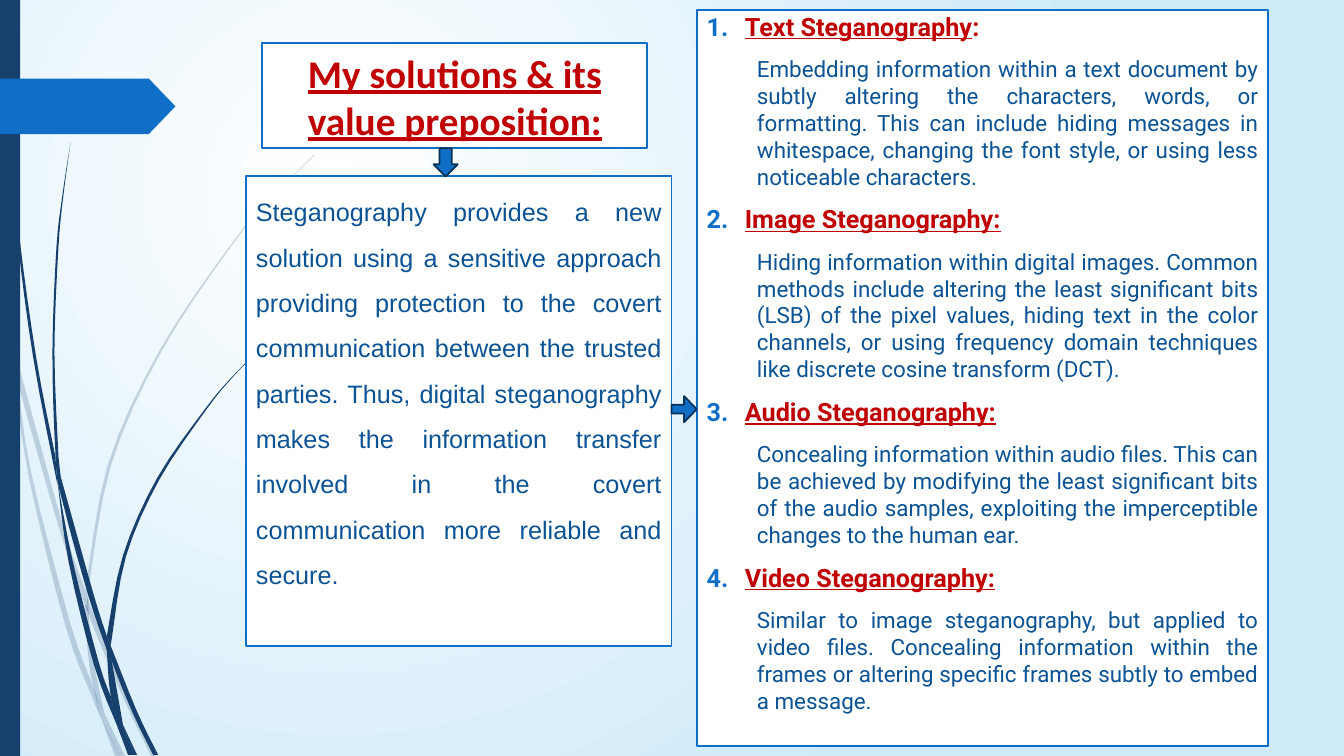
"""Build the slide on steganography solutions and their four types."""
from lxml.etree import SubElement
from pptx import Presentation
from pptx.dml.color import RGBColor
from pptx.enum.shapes import MSO_SHAPE
from pptx.enum.text import MSO_ANCHOR, MSO_AUTO_SIZE, PP_ALIGN
from pptx.oxml.ns import qn
from pptx.util import Inches, Pt

NAVY, BLUE, DARK_BLUE, TEXT_BLUE = "17406D", "0F6FC6", "073157", "0B5394"
RED, WHITE, SKY = "C00000", "FFFFFF", "CEEAF9"

TITLE = "My solutions & its value preposition:"
SUMMARY = (
    "Steganography provides a new solution using a sensitive approach providing protection to "
    "the covert communication between the trusted parties. Thus, digital steganography makes the "
    "information transfer involved in the covert communication more reliable and secure."
)
KINDS = [
    (["Text Steganography", ":"],
     "Embedding information within a text document by subtly altering the characters, words, or "
     "formatting. This can include hiding messages in whitespace, changing the font style, or "
     "using less noticeable characters."),
    (["Image Steganography:"],
     "Hiding information within digital images. Common methods include altering the least "
     "significant bits (LSB) of the pixel values, hiding text in the color channels, or using "
     "frequency domain techniques like discrete cosine transform (DCT)."),
    (["Audio Steganography:"],
     "Concealing information within audio files. This can be achieved by modifying the least "
     "significant bits of the audio samples, exploiting the imperceptible changes to the human ear."),
    (["Video Steganography:"],
     "Similar to image steganography, but applied to video files. Concealing information within "
     "the frames or altering specific frames subtly to embed a message."),
]

TITLE_PLACE = (2.6, 0.43, 3.82, 1.04)
SUMMARY_PLACE = (2.44, 1.75, 4.22, 4.66)
KINDS_PLACE = (6.91, 0.1, 5.67, 7.3)

PALE_WISPS = [
    ([(0.11, 3.5), (0.09, 3.22), (0, 2.82)], [(0, 2.99), (0.1, 3.44), (0.11, 3.5)]),
    ([(0.14, 3.45), (0.17, 3.76), (0.58, 5.22), (0.84, 5.99)],
     [(0.85, 5.86), (0.62, 5.2), (0.14, 3.45)]),
    ([(0.88, 5.96), (0.88, 6.1), (1.23, 6.94), (1.5, 7.5)],
     [(1.55, 7.5), (1.27, 6.92), (0.92, 6.07), (0.88, 5.96)]),
    ([(1.05, 7.11), (1.19, 7.5)], [(1.24, 7.5), (1.05, 7.11)]),
    ([(0.11, 3.5), (0.28, 4.7), (0.65, 6.21), (0.92, 6.93), (1.01, 7.14)],
     [(0.99, 7.07), (0.93, 6.83), (0.7, 6.19), (0.31, 4.69), (0.17, 3.76), (0.11, 3.5)]),
    ([(0.84, 5.99), (0.87, 6.46), (0.93, 6.83), (1.05, 7.11)],
     [(1.03, 7.06), (0.91, 6.46), (0.88, 6.08), (0.84, 5.99)]),
    ([(3.12, 1.53), (2.68, 1.97), (2.28, 2.44), (1.58, 3.48), (1.07, 4.61), (0.85, 5.84)],
     [(0.88, 5.96), (0.88, 5.84), (1.1, 4.62), (1.6, 3.49), (2.29, 2.45), (2.68, 1.98),
      (3.12, 1.54)]),
    ([(1.01, 7.14), (1.14, 7.5)], [(1.19, 7.5), (1.01, 7.14)]),
    ([(0.85, 5.86), (0.84, 5.99), (0.88, 6.1)], [(0.88, 5.96), (0.85, 5.86)]),
    ([(0.93, 6.83), (1.01, 7.14), (1.19, 7.5)], [(1.05, 7.11), (0.93, 6.83)]),
]
SOLID_WISPS = [
    ([(0.03, 0), (0.07, 1.1), (0.17, 2.33), (0.33, 3.55), (0.57, 4.81)],
     [(0.55, 4.53), (0.36, 3.55), (0.19, 2.32), (0.08, 1.09), (0.04, 0)]),
    ([(0.6, 4.72), (0.64, 5.05), (0.88, 5.92), (1.06, 6.45)],
     [(1.06, 6.31), (0.93, 5.9), (0.6, 4.72)]),
    ([(1.1, 6.41), (1.11, 6.56), (1.32, 7.08), (1.52, 7.49)],
     [(1.57, 7.49), (1.36, 7.06), (1.1, 6.41)]),
    ([(0.57, 4.77), (0.68, 5.57), (0.93, 6.59), (1.17, 7.22)],
     [(1.1, 6.91), (0.98, 6.57), (0.72, 5.56), (0.57, 4.77)]),
    ([(0.7, 1.41), (0.62, 1.93), (0.56, 2.45), (0.52, 3.49), (0.55, 4.49), (0.6, 4.72)],
     [(0.58, 4.53), (0.54, 3.49), (0.58, 2.45), (0.63, 1.93), (0.7, 1.41)]),
    ([(1.22, 7.19), (1.33, 7.49)], [(1.36, 7.49), (1.22, 7.19)]),
    ([(0.55, 4.49), (0.57, 4.77), (0.64, 5.05)], [(0.6, 4.72), (0.55, 4.49)]),
    ([(2.6, 3.44), (2.31, 3.73), (2.04, 4.05), (1.56, 4.74), (1.22, 5.51), (1.06, 6.31)],
     [(1.1, 6.41), (1.11, 6.33), (1.25, 5.52), (1.58, 4.76), (2.05, 4.06), (2.31, 3.74),
      (2.6, 3.44)]),
    ([(1.17, 7.22), (1.27, 7.49)], [(1.31, 7.49), (1.17, 7.22)]),
    ([(1.06, 6.45), (1.1, 6.91), (1.22, 7.19)], [(1.11, 6.56), (1.06, 6.45)]),
    ([(1.06, 6.31), (1.06, 6.45), (1.11, 6.56)], [(1.1, 6.41), (1.06, 6.31)]),
    ([(1.1, 6.91), (1.17, 7.22), (1.3, 7.49)], [(1.33, 7.49), (1.22, 7.19), (1.1, 6.91)]),
]


def color(value):
    return RGBColor.from_string(value)


def paint(shape, fill, line=None):
    shape.shadow.inherit = False
    shape.fill.solid()
    shape.fill.fore_color.rgb = color(fill)
    if line:
        shape.line.color.rgb = color(line)
        shape.line.width = Pt(1.25)
    else:
        shape.line.fill.background()


def add_block(slide, kind, place, fill, line=None):
    shape = slide.shapes.add_shape(kind, *map(Inches, place))
    paint(shape, fill, line)
    return shape


def prepare_text(shape, anchor):
    frame = shape.text_frame
    frame.word_wrap, frame.auto_size = True, MSO_AUTO_SIZE.NONE
    frame.vertical_anchor = anchor
    return frame


def style(span, name, size, shade, bold=False, underline=False):
    font = span.font
    font.name, font.size, font.bold, font.underline = name, Pt(size), bold, underline
    font.color.rgb = color(shade)


def smooth(points, steps=4):
    """Return points along a Catmull-Rom curve."""
    if len(points) == 2:
        return points
    padded = [points[0], *points, points[-1]]
    curve = []
    for a, b, c, d in zip(padded, padded[1:], padded[2:], padded[3:]):
        for t in (step / steps for step in range(steps)):
            curve.append([q + t / 2 * (r - p + t * (2 * p - 5 * q + 4 * r - s
                                                    + t * (3 * (q - r) + s - p)))
                          for p, q, r, s in zip(a, b, c, d)])
    return curve + [points[-1]]


def add_wisps(slide, wisps, opacity):
    group = slide.shapes.add_group_shape()
    for outward, back in wisps:
        points = [(Inches(x), Inches(y)) for x, y in [*smooth(outward), *smooth(back)]]
        builder = group.shapes.build_freeform(*points[0])
        builder.add_line_segments(points[1:], close=True)
        wisp = builder.convert_to_shape()
        paint(wisp, NAVY)
        if opacity < 100:
            shade = wisp.element.xpath("./p:spPr/a:solidFill/a:srgbClr")[0]
            SubElement(shade, qn("a:alpha"), val=str(opacity * 1000))


def set_background(slide):
    fill = slide.background.fill
    fill.gradient()
    for stop, shade in zip(fill.gradient_stops, (WHITE, SKY)):
        stop.color.rgb = color(shade)
    gradient = slide.element.xpath(".//p:bgPr/a:gradFill")[0]
    for linear in gradient.findall(qn("a:lin")):
        gradient.remove(linear)
    circle = SubElement(gradient, qn("a:path"), path="circle")
    SubElement(circle, qn("a:fillToRect"), l="50000", t="50000", r="100000", b="100000")


def add_title(slide):
    title = slide.shapes.title
    title.left, title.top, title.width, title.height = map(Inches, TITLE_PLACE)
    paint(title, WHITE, BLUE)
    para = prepare_text(title, MSO_ANCHOR.BOTTOM).paragraphs[0]
    para.text, para.alignment = TITLE, PP_ALIGN.CENTER
    style(para.runs[0], "Calibri", 28, RED, True, True)


def add_summary(slide):
    box = add_block(slide, MSO_SHAPE.RECTANGLE, SUMMARY_PLACE, WHITE, BLUE)
    para = prepare_text(box, MSO_ANCHOR.TOP).paragraphs[0]
    para.text, para.alignment = SUMMARY, PP_ALIGN.JUSTIFY
    para.line_spacing, para.space_before = 1.5, Pt(10)
    style(para.runs[0], "Arial", 18, TEXT_BLUE)


def add_kinds(slide):
    box = add_block(slide, MSO_SHAPE.RECTANGLE, KINDS_PLACE, WHITE, BLUE)
    frame = prepare_text(box, MSO_ANCHOR.TOP)
    frame.margin_top = Inches(0.01)
    for index, (heading, detail) in enumerate(KINDS):
        para = frame.add_paragraph() if index else frame.paragraphs[0]
        para.alignment, para.space_before = PP_ALIGN.JUSTIFY, Pt(10 if index else 0)
        for part in heading:
            span = para.add_run()
            span.text = part
            style(span, "Roboto", 18, RED, True, part != ":")
        layout = para._p.get_or_add_pPr()
        layout.set("marL", str(Inches(0.38)))
        layout.set("indent", str(-Inches(0.38)))
        SubElement(SubElement(layout, qn("a:buClr")), qn("a:srgbClr"), val=BLUE)
        SubElement(layout, qn("a:buFont"), typeface="Roboto")
        SubElement(layout, qn("a:buAutoNum"), type="arabicPeriod")
        para = frame.add_paragraph()
        para.text, para.level = detail, 1
        para.alignment, para.space_before = PP_ALIGN.JUSTIFY, Pt(10)
        para._p.get_or_add_pPr().set("marL", str(Inches(0.5)))
        style(para.runs[0], "Roboto", 16, TEXT_BLUE)


deck = Presentation()
deck.slide_width, deck.slide_height = Inches(13.33), Inches(7.5)
page = deck.slides.add_slide(deck.slide_layouts[5])
set_background(page)
add_wisps(page, PALE_WISPS, 20)
add_wisps(page, SOLID_WISPS, 100)
add_block(page, MSO_SHAPE.RECTANGLE, (0, 0, 0.2, 7.5), NAVY)
add_block(page, MSO_SHAPE.PENTAGON, (0, 0.78, 1.74, 0.55), BLUE).adjustments[0] = 0.48
add_title(page)
add_kinds(page)
add_summary(page)
add_block(page, MSO_SHAPE.DOWN_ARROW, (4.3, 1.47, 0.24, 0.28), BLUE, DARK_BLUE)
arrow = add_block(page, MSO_SHAPE.RIGHT_ARROW, (6.66, 3.93, 0.25, 0.26), BLUE, DARK_BLUE)
arrow.adjustments[0] = 0.33
deck.save("out.pptx")
